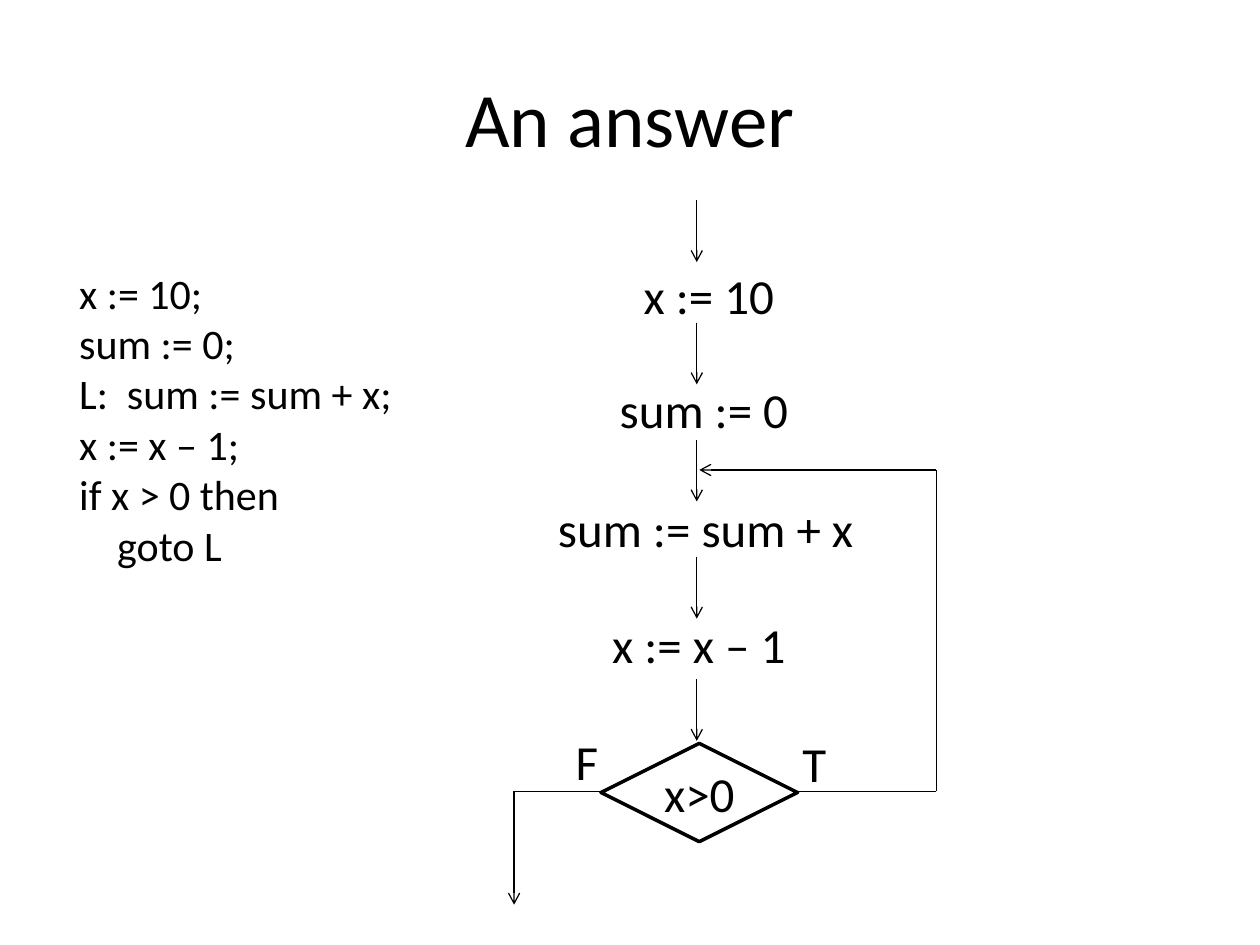
"""Build a slide that pairs a small goto program with its flowchart."""
from dataclasses import dataclass

from lxml.etree import SubElement
from pptx import Presentation
from pptx.dml.color import RGBColor
from pptx.enum.shapes import MSO_CONNECTOR, MSO_SHAPE
from pptx.enum.text import MSO_ANCHOR, PP_ALIGN
from pptx.oxml.ns import qn
from pptx.slide import Slide
from pptx.text.text import TextFrame
from pptx.util import Emu, Pt

EMU_PER_PX = 9144


@dataclass(frozen=True)
class Theme:
    """Colours, font and sizes of the slide."""
    ink: RGBColor = RGBColor(0, 0, 0)
    font: str = "Calibri"
    title: int = 44
    code: int = 24
    flow: int = 28
    thin: float = 0.75
    thick: float = 2


@dataclass(frozen=True)
class Label:
    """A text with its place and size in px."""
    text: str
    left: int
    top: int
    width: int
    height: int = 57


@dataclass(frozen=True)
class Edge:
    """A straight flow line, with or without an arrowhead at its end."""
    start: tuple[int, int]
    end: tuple[int, int]
    arrow: bool = False


THEME = Theme()
TITLE = Label("An answer", 50, 30, 900, 125)
PROGRAM = Label(
    "x := 10;\nsum := 0;\nL:  sum := sum + x;\nx := x – 1;\nif x > 0 then\n    goto L",
    53, 207, 272, 252)
DECISION = Label("x>0", 477, 590, 156, 78)
FLOW_LABELS = (
    Label("x := 10", 501, 206, 126),
    Label("sum := 0", 482, 296, 156),
    Label("sum := sum + x", 433, 391, 258),
    Label("x := x – 1", 476, 483, 160),
    Label("T", 627, 577, 39),
    Label("F", 447, 576, 39),
)
SPINE, STEP = 553, 49
STEP_TOPS = (159, 256, 349, 442, 539)
EXIT, LOOP, BRANCH, JOIN = 408, 743, 628, 373
EDGES = (
    *(Edge((SPINE, top), (SPINE, top + STEP), True) for top in STEP_TOPS),
    Edge((DECISION.left, BRANCH), (EXIT, BRANCH)),
    Edge((EXIT, BRANCH), (EXIT, 718), True),
    Edge((DECISION.left + DECISION.width, BRANCH), (LOOP, BRANCH)),
    Edge((LOOP, BRANCH), (LOOP, JOIN)),
    Edge((LOOP, JOIN), (SPINE + 2, JOIN), True),
)


def px(length: int) -> Emu:
    """Turn px into EMU."""
    return Emu(length * EMU_PER_PX)


def frame_of(label: Label) -> tuple[Emu, Emu, Emu, Emu]:
    """Give the left, top, width and height of a label."""
    return px(label.left), px(label.top), px(label.width), px(label.height)


def write(frame: TextFrame, text: str, size: int, align: PP_ALIGN) -> None:
    """Fill a text frame and format its runs."""
    frame.text = text
    for para in frame.paragraphs:
        para.alignment = align
        for span in para.runs:
            span.font.name = THEME.font
            span.font.size = Pt(size)
            span.font.color.rgb = THEME.ink


def add_title(page: Slide, label: Label) -> None:
    """Place and fill the title placeholder."""
    title = page.shapes.title
    title.left, title.top, title.width, title.height = frame_of(label)
    title.text_frame.vertical_anchor = MSO_ANCHOR.MIDDLE
    write(title.text_frame, label.text, THEME.title, PP_ALIGN.CENTER)


def add_label(page: Slide, label: Label, size: int, wrap: bool = False) -> None:
    """Add a left-aligned text box."""
    box = page.shapes.add_textbox(*frame_of(label))
    box.text_frame.word_wrap = wrap
    write(box.text_frame, label.text, size, PP_ALIGN.LEFT)


def add_decision(page: Slide, label: Label) -> None:
    """Add the outlined diamond of the test."""
    diamond = page.shapes.add_shape(MSO_SHAPE.DIAMOND, *frame_of(label))
    diamond.shadow.inherit = False
    diamond.fill.background()
    diamond.line.color.rgb = THEME.ink
    diamond.line.width = Pt(THEME.thick)
    diamond.text_frame.word_wrap = False
    diamond.text_frame.vertical_anchor = MSO_ANCHOR.MIDDLE
    write(diamond.text_frame, label.text, THEME.flow, PP_ALIGN.CENTER)


def add_edge(page: Slide, edge: Edge) -> None:
    """Add a flow line."""
    line = page.shapes.add_connector(
        MSO_CONNECTOR.STRAIGHT, *map(px, edge.start + edge.end))
    line.line.color.rgb = THEME.ink
    line.line.width = Pt(THEME.thin)
    if edge.arrow:
        SubElement(line.line._get_or_add_ln(), qn("a:tailEnd"), type="arrow")
    SubElement(line._element.spPr, qn("a:effectLst"))


def main() -> None:
    """Build and save the deck."""
    deck = Presentation()
    deck.slide_width, deck.slide_height = px(1000), px(750)
    page = deck.slides.add_slide(deck.slide_layouts.get_by_name("Title Only"))
    add_title(page, TITLE)
    add_label(page, PROGRAM, THEME.code, wrap=True)
    for label in FLOW_LABELS:
        add_label(page, label, THEME.flow)
    add_decision(page, DECISION)
    for edge in EDGES:
        add_edge(page, edge)
    deck.save("out.pptx")


if __name__ == "__main__":
    main()
